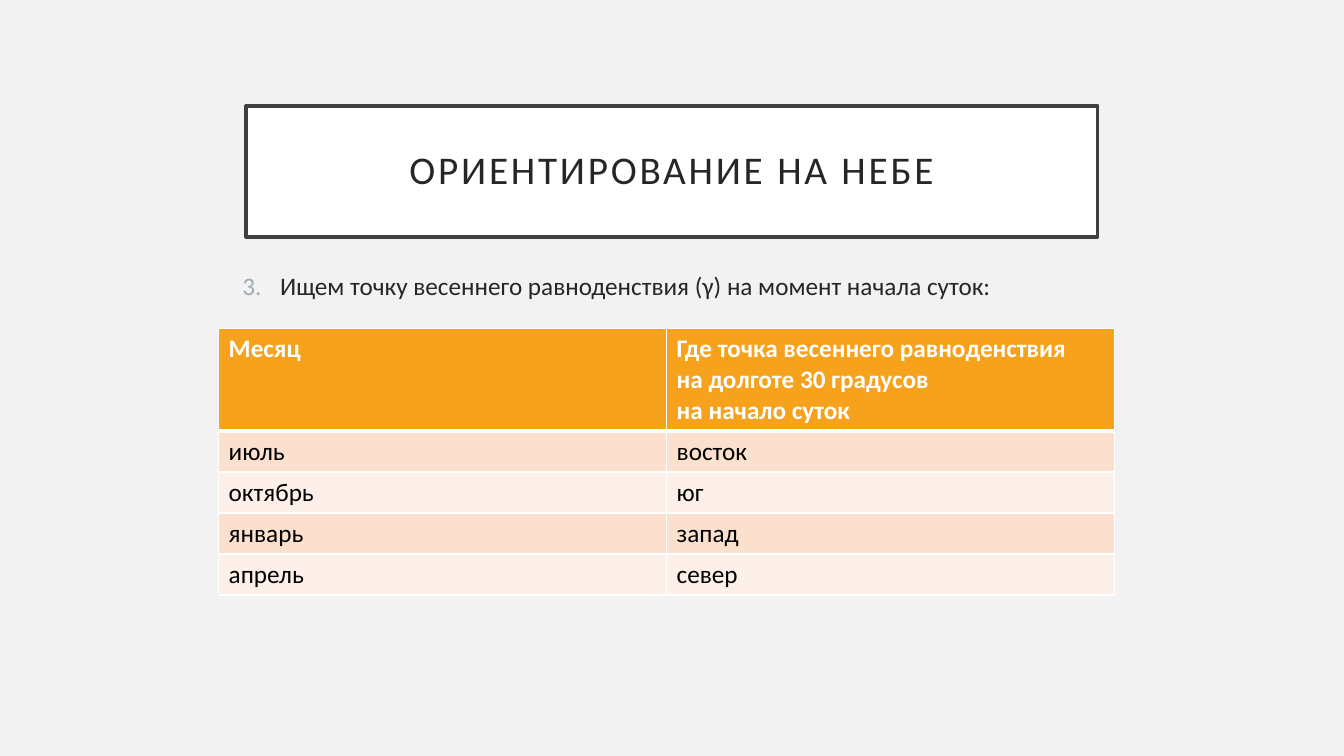
from dataclasses import dataclass

from lxml.etree import SubElement
from pptx import Presentation
from pptx.dml.color import RGBColor
from pptx.enum.text import MSO_ANCHOR, MSO_AUTO_SIZE, PP_ALIGN
from pptx.oxml.ns import qn
from pptx.util import Pt

FONT_NAME = "Calibri"
DARK_TEXT = "262626"
WHITE = "FFFFFF"
BAND_COLOURS = ("FBE0CD", "FDF0E8")
HEADER_HEIGHT = 73.2
ROW_HEIGHT = 29.3


@dataclass(frozen=True)
class TableRow:
    month: str
    direction: str


HEADER = TableRow(
    "Месяц",
    "Где точка весеннего равноденствия \nна долготе 30 градусов \nна начало суток",
)
MONTHS = (
    TableRow("июль", "восток"),
    TableRow("октябрь", "юг"),
    TableRow("январь", "запад"),
    TableRow("апрель", "север"),
)


def colour(value: str) -> RGBColor:
    return RGBColor.from_string(value)


def place(shape, left: float, top: float, width: float, height: float) -> None:
    shape.left, shape.top = Pt(left), Pt(top)
    shape.width, shape.height = Pt(width), Pt(height)


def add_run(paragraph, text: str, size: float, text_colour: str, bold: bool = False):
    run = paragraph.add_run()
    run.text = text
    run.font.name = FONT_NAME
    run.font.size = Pt(size)
    run.font.bold = bold
    run.font.color.rgb = colour(text_colour)
    return run


def number_paragraph(paragraph, start: int, number_colour: str) -> None:
    properties = paragraph._p.get_or_add_pPr()
    properties.set("marL", str(Pt(36.75)))
    properties.set("indent", str(Pt(-27)))
    bullet_colour = SubElement(properties, qn("a:buClr"))
    SubElement(bullet_colour, qn("a:srgbClr"), val=number_colour)
    SubElement(properties, qn("a:buFont"), typeface="+mj-lt")
    SubElement(properties, qn("a:buAutoNum"), type="arabicPeriod", startAt=str(start))


def set_borders(cell, top: float, bottom: float) -> None:
    properties = cell._tc.get_or_add_tcPr()
    widths = {"lnL": 1, "lnR": 1, "lnT": top, "lnB": bottom}
    for side, width in widths.items():
        border = SubElement(properties, qn(f"a:{side}"), w=str(Pt(width)))
        fill = SubElement(border, qn("a:solidFill"))
        SubElement(fill, qn("a:srgbClr"), val=WHITE)


def fill_cell(cell, text: str, row_index: int) -> None:
    is_header = row_index == 0
    set_borders(cell, top=3 if row_index == 1 else 1, bottom=3 if is_header else 1)
    cell.fill.solid()
    cell.fill.fore_color.rgb = colour(
        "F6A21D" if is_header else BAND_COLOURS[(row_index - 1) % 2]
    )
    paragraph = cell.text_frame.paragraphs[0]
    for line_index, line in enumerate(text.split("\n")):
        if line_index:
            paragraph.add_line_break()
        add_run(paragraph, line, 18, WHITE if is_header else "000000", is_header)


def add_title(slide) -> None:
    title = slide.shapes.title
    place(title, 175.7, 75.6, 608.4, 93.6)
    title.fill.solid()
    title.fill.fore_color.rgb = colour(WHITE)
    title.line.color.rgb = colour("404040")
    title.line.width = Pt(2.5)
    frame = title.text_frame
    frame.auto_size = MSO_AUTO_SIZE.NONE
    frame.word_wrap = True
    frame.vertical_anchor = MSO_ANCHOR.MIDDLE
    frame.margin_left = frame.margin_right = Pt(14.4)
    frame.margin_top = frame.margin_bottom = Pt(14.4)
    paragraph = frame.paragraphs[0]
    paragraph.alignment = PP_ALIGN.CENTER
    paragraph.line_spacing = 0.9
    run = add_run(paragraph, "ОРИЕНТИРОВАНИЕ НА НЕБЕ", 28, DARK_TEXT)
    run.font._element.set("spc", "200")


def add_step(slide) -> None:
    body = slide.placeholders[1]
    place(body, 156.2, 189.4, 765.4, 314.6)
    body.text_frame.auto_size = MSO_AUTO_SIZE.NONE
    body.text_frame.word_wrap = True
    paragraph = body.text_frame.paragraphs[0]
    number_paragraph(paragraph, 3, "9BAFB5")
    paragraph.space_before = Pt(0)
    add_run(
        paragraph,
        "Ищем точку весеннего равноденствия (γ) на момент начала суток:",
        18,
        DARK_TEXT,
    )


def add_month_table(slide) -> None:
    rows = (HEADER, *MONTHS)
    table_height = HEADER_HEIGHT + ROW_HEIGHT * len(MONTHS)
    table = slide.shapes.add_table(
        len(rows), 2, Pt(156.2), Pt(234.7), Pt(640), Pt(table_height)
    ).table
    for row_index, row in enumerate(rows):
        table.rows[row_index].height = Pt(ROW_HEIGHT if row_index else HEADER_HEIGHT)
        for column_index, text in enumerate((row.month, row.direction)):
            fill_cell(table.cell(row_index, column_index), text, row_index)


def main() -> None:
    presentation = Presentation()
    presentation.slide_width, presentation.slide_height = Pt(960), Pt(540)
    slide = presentation.slides.add_slide(presentation.slide_layouts[1])

    # Background
    slide.background.fill.solid()
    slide.background.fill.fore_color.rgb = colour("F2F2F2")

    # Heading, numbered step and table of months
    add_title(slide)
    add_step(slide)
    add_month_table(slide)
    presentation.save("out.pptx")


if __name__ == "__main__":
    main()
